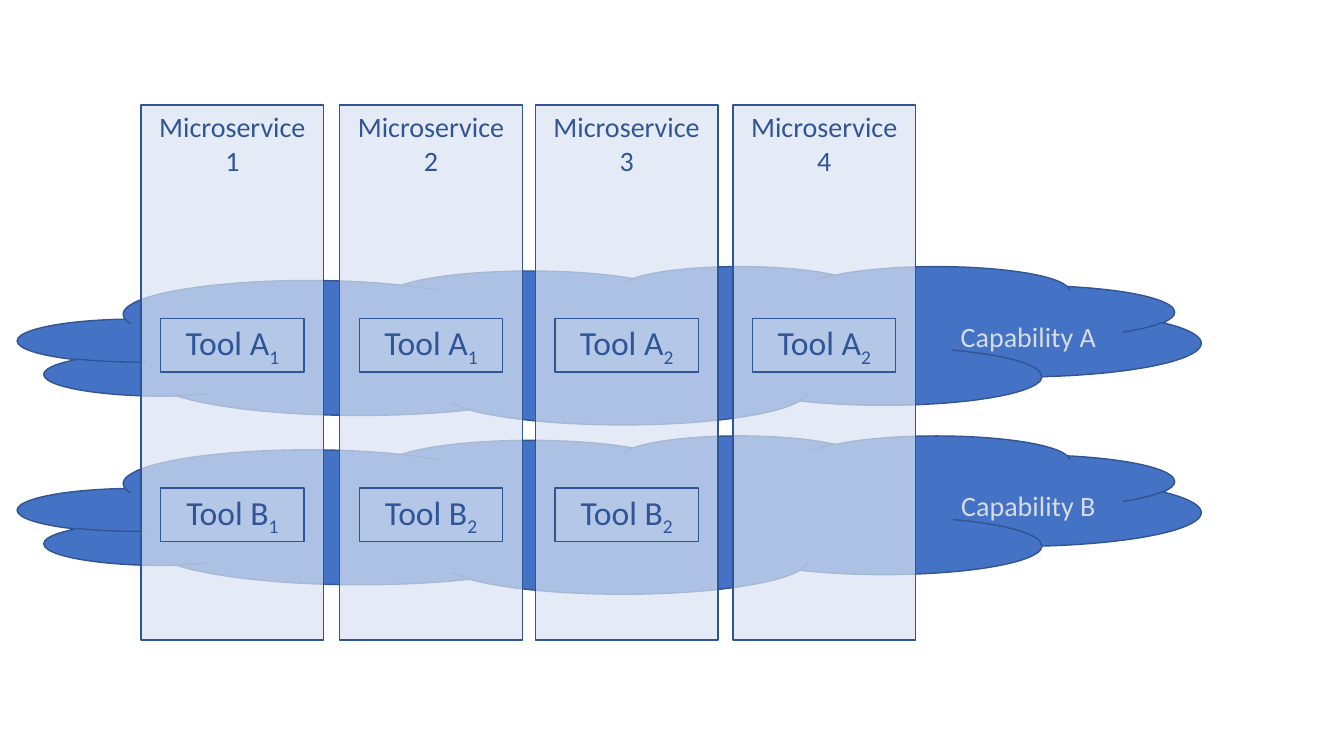
from lxml import etree
from pptx import Presentation
from pptx.dml.color import RGBColor
from pptx.enum.shapes import MSO_SHAPE
from pptx.enum.text import MSO_ANCHOR, MSO_AUTO_SIZE, PP_ALIGN
from pptx.oxml.ns import qn
from pptx.util import Inches, Pt

CLOUD, RECT = MSO_SHAPE.CLOUD, MSO_SHAPE.RECTANGLE
TOP, MIDDLE = MSO_ANCHOR.TOP, MSO_ANCHOR.MIDDLE
CENTER = PP_ALIGN.CENTER

# Capability letter, cloud top, and the tool version used by each microservice
CAPABILITIES = [
    ("A", 2.64, ["1", "1", "2", "2"]),
    ("B", 4.32, ["1", "2", "2"]),
]
# Microservice number and left edge of its column
MICROSERVICES = [("1", 1.4), ("2", 3.37), ("3", 5.31), ("4", 7.27)]

CLOUD_LEFT, CLOUD_W, CLOUD_H = 0.18, 11.73, 1.57
COLUMN_TOP, COLUMN_W, COLUMN_H = 1.04, 1.81, 5.31
TOOL_W, TOOL_H, TOOL_DROP = 1.42, 0.53, 0.52
LABEL_LEFT, LABEL_W, LABEL_H, LABEL_DROP = 9.42, 1.56, 0.44, 0.48

BLUE, CLOUD_EDGE, DARK_BLUE = "4472C4", "325491", "2F5597"
PALE_BLUE, TOOL_BLUE, LABEL_GREY = "DAE3F3", "B4C7E7", "D6DCE5"


def rgb(value):
    return RGBColor.from_string(value)


def add_box(kind, left, top, width, height, fill, line, alpha=None):
    sp = slide.shapes.add_shape(
        kind, Inches(left), Inches(top), Inches(width), Inches(height))
    sp.shadow.inherit = False
    sp.fill.solid()
    sp.fill.fore_color.rgb = rgb(fill)
    if alpha is not None:
        color = sp.fill._xPr.find(qn("a:solidFill"))[0]
        etree.SubElement(color, qn("a:alpha")).set("val", str(alpha * 1000))
    sp.line.color.rgb = rgb(line)
    sp.line.width = Pt(1)
    return sp


def write(sp, lines, size, color, anchor=TOP, wrap=True):
    """Fill a shape with centred lines, each a list of (text, is_subscript)."""
    tf = sp.text_frame
    tf.word_wrap = wrap
    tf.vertical_anchor = anchor
    for i, runs in enumerate(lines):
        p = tf.add_paragraph() if i else tf.paragraphs[0]
        p.alignment = CENTER
        for text, subscript in runs:
            r = p.add_run()
            r.text = text
            r.font.name = "Calibri"
            r.font.size = Pt(size)
            r.font.color.rgb = rgb(color)
            if subscript:
                r.font._element.set("baseline", "-25000")


prs = Presentation()
prs.slide_width, prs.slide_height = Inches(13.33), Inches(7.5)
slide = prs.slides.add_slide(prs.slide_layouts[6])

for letter, top, versions in reversed(CAPABILITIES):
    add_box(CLOUD, CLOUD_LEFT, top, CLOUD_W, CLOUD_H, BLUE, CLOUD_EDGE)

for number, left in MICROSERVICES:
    sp = add_box(RECT, left, COLUMN_TOP, COLUMN_W, COLUMN_H,
                 PALE_BLUE, DARK_BLUE, alpha=70)
    write(sp, [[("Microservice", False)], [(number, False)]], 20, DARK_BLUE)

for letter, top, versions in CAPABILITIES:
    for (number, left), version in zip(MICROSERVICES, versions):
        sp = add_box(RECT, left + (COLUMN_W - TOOL_W) / 2, top + TOOL_DROP,
                     TOOL_W, TOOL_H, TOOL_BLUE, DARK_BLUE)
        write(sp, [[(f"Tool {letter}", False), (version, True)]], 24,
              DARK_BLUE, anchor=MIDDLE)
    label = slide.shapes.add_textbox(
        Inches(LABEL_LEFT), Inches(top + LABEL_DROP),
        Inches(LABEL_W), Inches(LABEL_H))
    write(label, [[(f"Capability {letter}", False)]], 20, LABEL_GREY, wrap=False)
    label.text_frame.auto_size = MSO_AUTO_SIZE.SHAPE_TO_FIT_TEXT

prs.save("out.pptx")
